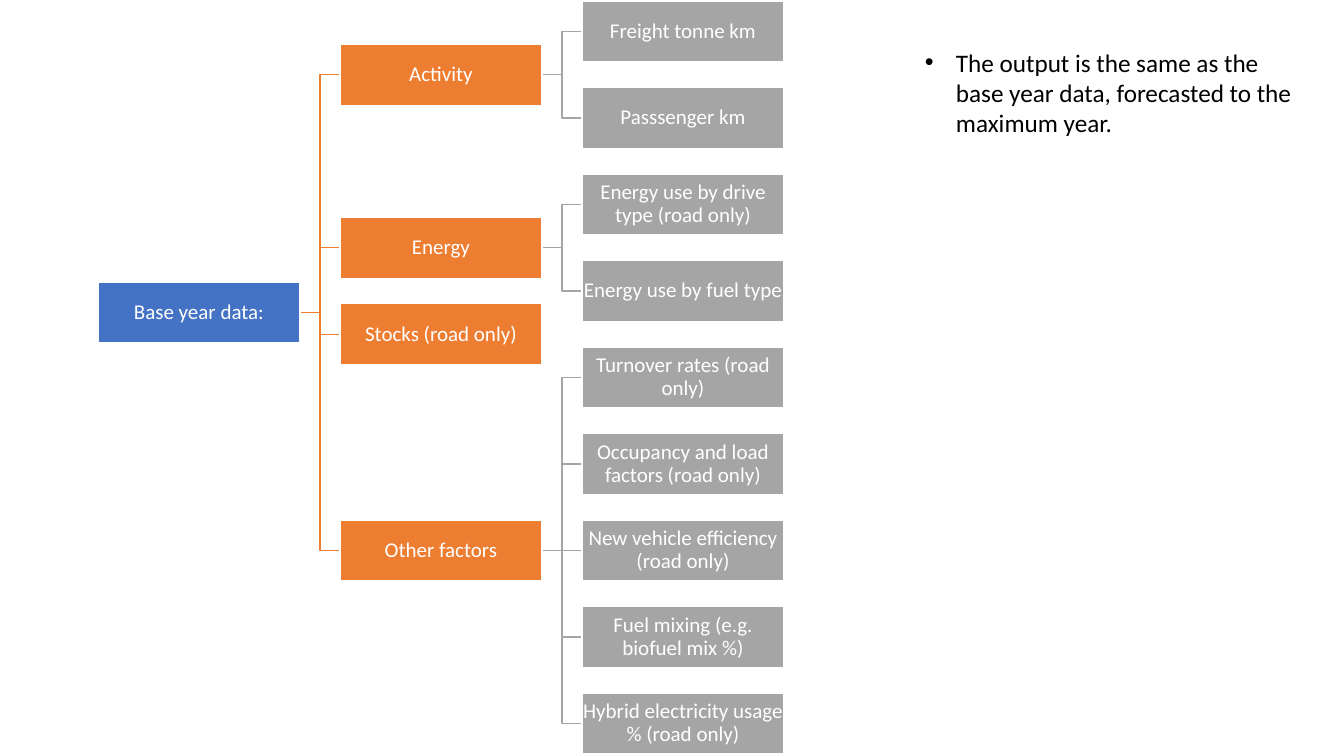
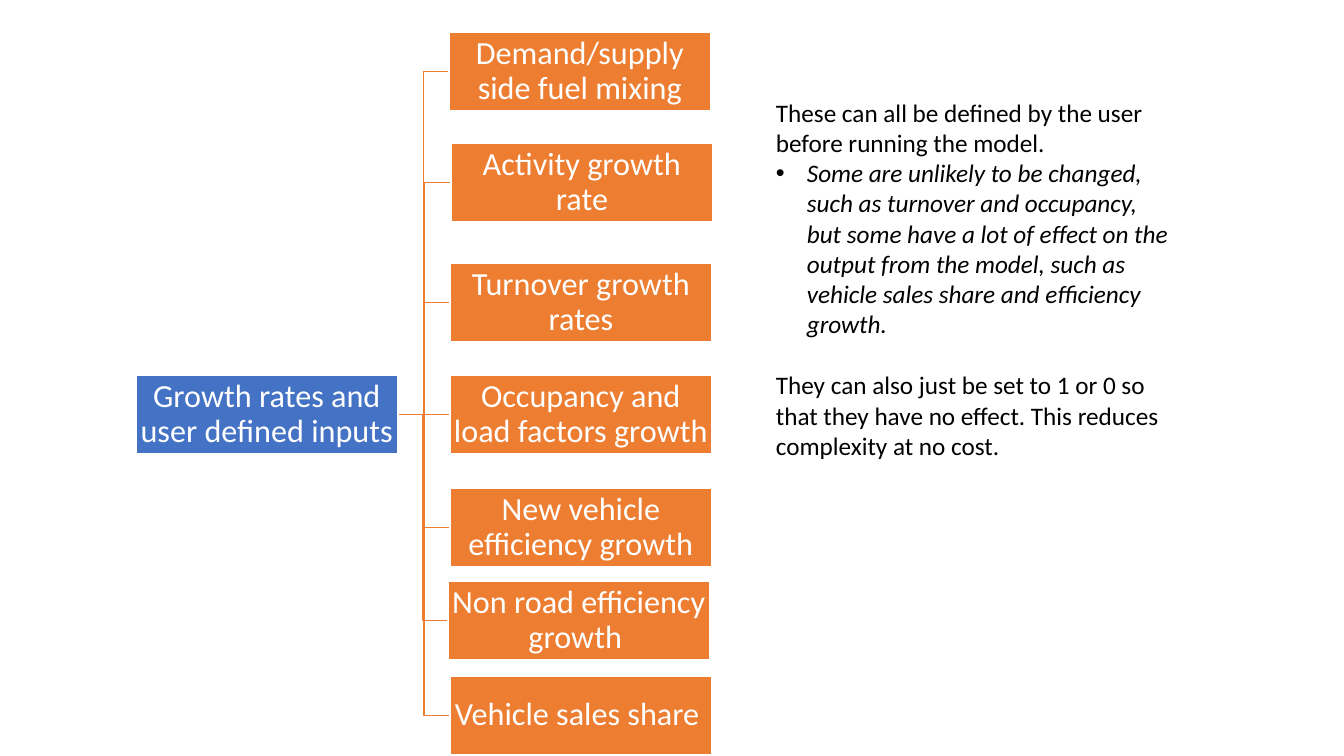
from lxml import etree
from pptx import Presentation
from pptx.dml.color import RGBColor
from pptx.enum.shapes import MSO_CONNECTOR, MSO_SHAPE
from pptx.enum.text import MSO_ANCHOR, PP_ALIGN
from pptx.oxml.ns import qn
from pptx.util import Pt

# Shared scale, colours and styles
PX = 9071  # EMU in one px; the slide is 1344 by 756 px
BLUE = RGBColor(0x44, 0x72, 0xC4)
ORANGE = RGBColor(0xED, 0x7D, 0x31)
GRAY = RGBColor(0xA5, 0xA5, 0xA5)
WHITE = RGBColor(0xFF, 0xFF, 0xFF)
BLACK = RGBColor(0x00, 0x00, 0x00)
FONT = "Calibri"
BULLET_INDENT = 31
RECTANGLE = MSO_SHAPE.RECTANGLE
ELBOW, STRAIGHT = MSO_CONNECTOR.ELBOW, MSO_CONNECTOR.STRAIGHT
LEFT, CENTER = PP_ALIGN.LEFT, PP_ALIGN.CENTER
MIDDLE = MSO_ANCHOR.MIDDLE
LEFT_SIDE, RIGHT_SIDE = 1, 3


def add_text(frame, text, size=18, color=BLACK, align=LEFT, italic=False,
             spacing=1.0, before=0, bullet=False):
    """Write one paragraph, using the frame's first one while it is empty."""
    para = frame.paragraphs[0] if not frame.text else frame.add_paragraph()
    para.alignment = align
    para.line_spacing = spacing
    para.space_before = Pt(before)
    span = para.add_run()
    span.text = text
    span.font.name = FONT
    span.font.size = Pt(size)
    span.font.italic = italic
    span.font.color.rgb = color
    if bullet:
        props = para._p.get_or_add_pPr()
        props.set("marL", str(BULLET_INDENT * PX))
        props.set("indent", str(-BULLET_INDENT * PX))
        etree.SubElement(props, qn("a:buFont")).set("typeface", "Arial")
        etree.SubElement(props, qn("a:buChar")).set("char", "•")


def add_node(page, label, left, top, fill, width, height, size, inset, parent=None):
    """Draw a tree box and join it to its parent, with the line behind both."""
    box = page.shapes.add_shape(RECTANGLE, left * PX, round(top * PX),
                                width * PX, height * PX)
    box.shadow.inherit = False
    box.fill.solid()
    box.fill.fore_color.rgb = fill
    box.line.color.rgb = WHITE
    box.line.width = Pt(1)
    frame = box.text_frame
    frame.word_wrap = True
    frame.vertical_anchor = MIDDLE
    frame.margin_left = frame.margin_right = inset * PX
    frame.margin_top = frame.margin_bottom = inset * PX
    add_text(frame, label, size=size, color=WHITE, align=CENTER, spacing=0.9)
    if parent is not None:
        kind = STRAIGHT if parent.top == box.top else ELBOW
        link = page.shapes.add_connector(kind, 0, 0, 0, 0)
        link.begin_connect(parent, RIGHT_SIDE)
        link.end_connect(box, LEFT_SIDE)
        link.line.color.rgb = fill
        link.line.width = Pt(1)
        etree.SubElement(link.element.spPr, qn("a:effectLst"))
        parent.element.addprevious(link.element)
    return box


deck = Presentation()
deck.slide_width, deck.slide_height = 1344 * PX, 756 * PX
blank = deck.slide_layouts[6]

# Slide 1: base year data tree; rows count leaf boxes from the top
page = deck.slides.add_slide(blank)
BASE_STYLE = {"width": 202, "height": 61, "size": 15, "inset": 1}
COLUMNS = [98, 340, 582]
FIRST_TOP, ROW_PITCH = 1, 86.5
BRANCHES = [
    ("Activity", 0.5, ["Freight tonne km", "Passsenger km"]),
    ("Energy", 2.5, ["Energy use by drive type (road only)",
                     "Energy use by fuel type"]),
    ("Stocks (road only)", 3.5, []),
    ("Other factors", 6, ["Turnover rates (road only)",
                          "Occupancy and load factors (road only)",
                          "New vehicle efficiency (road only)",
                          "Fuel mixing (e.g. biofuel mix %)",
                          "Hybrid electricity usage % (road only)"]),
]
root_row = (BRANCHES[0][1] + BRANCHES[-1][1]) / 2
root = add_node(page, "Base year data:", COLUMNS[0],
                FIRST_TOP + root_row * ROW_PITCH, BLUE, **BASE_STYLE)
leaf_row = 0
for label, row, leaves in BRANCHES:
    branch = add_node(page, label, COLUMNS[1], FIRST_TOP + row * ROW_PITCH,
                      ORANGE, parent=root, **BASE_STYLE)
    for leaf in leaves:
        add_node(page, leaf, COLUMNS[2], FIRST_TOP + leaf_row * ROW_PITCH,
                 GRAY, parent=branch, **BASE_STYLE)
        leaf_row += 1

note = page.shapes.add_textbox(915 * PX, 42 * PX, 390 * PX, 102 * PX).text_frame
note.word_wrap = True
add_text(note, "The output is the same as the base year data, forecasted to the "
               "maximum year.", bullet=True)

# Slide 2: growth rates and user inputs
page = deck.slides.add_slide(blank)
GROWTH_STYLE = {"width": 262, "height": 79, "size": 23, "inset": 2}
INPUTS = [
    ("Demand/supply side fuel mixing", 449, 32),
    ("Activity growth rate", 451, 143),
    ("Turnover growth rates", 450, 263),
    ("Occupancy and load factors growth", 450, 375),
    ("New vehicle efficiency growth", 450, 488),
    ("Non road efficiency growth ", 448, 581),
    ("Vehicle sales share ", 450, 676),
]
root = add_node(page, "Growth rates and user defined inputs", 136, 375, BLUE,
                **GROWTH_STYLE)
for label, left, top in INPUTS:
    add_node(page, label, left, top, ORANGE, parent=root, **GROWTH_STYLE)

note = page.shapes.add_textbox(766 * PX, 92 * PX, 419 * PX, 377 * PX).text_frame
note.word_wrap = True
add_text(note, "These can all be defined by the user before running the model.")
add_text(note, "Some are unlikely to be changed, such as turnover and occupancy, "
               "but some have a lot of effect on the output from the model, such as "
               "vehicle sales share and efficiency growth.", italic=True, bullet=True)
add_text(note, "They can also just be set to 1 or 0 so that they have no effect. "
               "This reduces complexity at no cost.", before=22)

deck.save("out.pptx")
